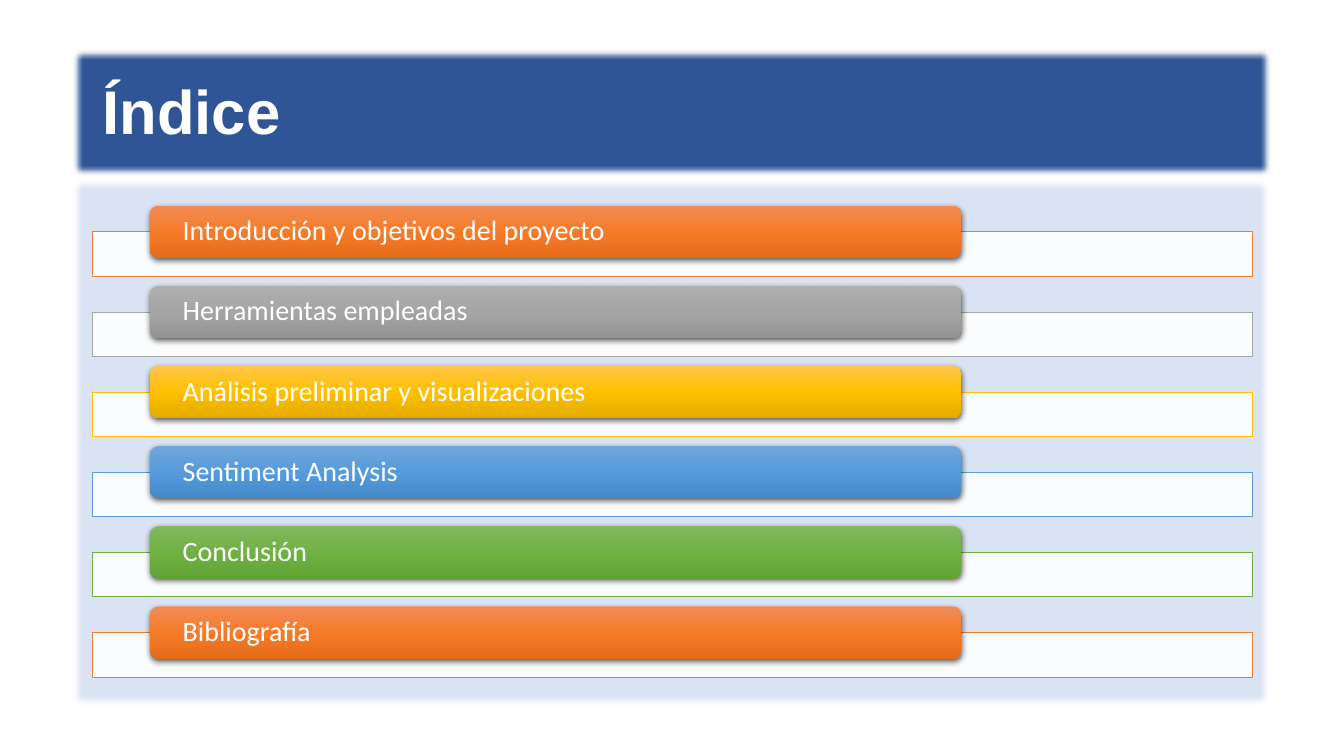
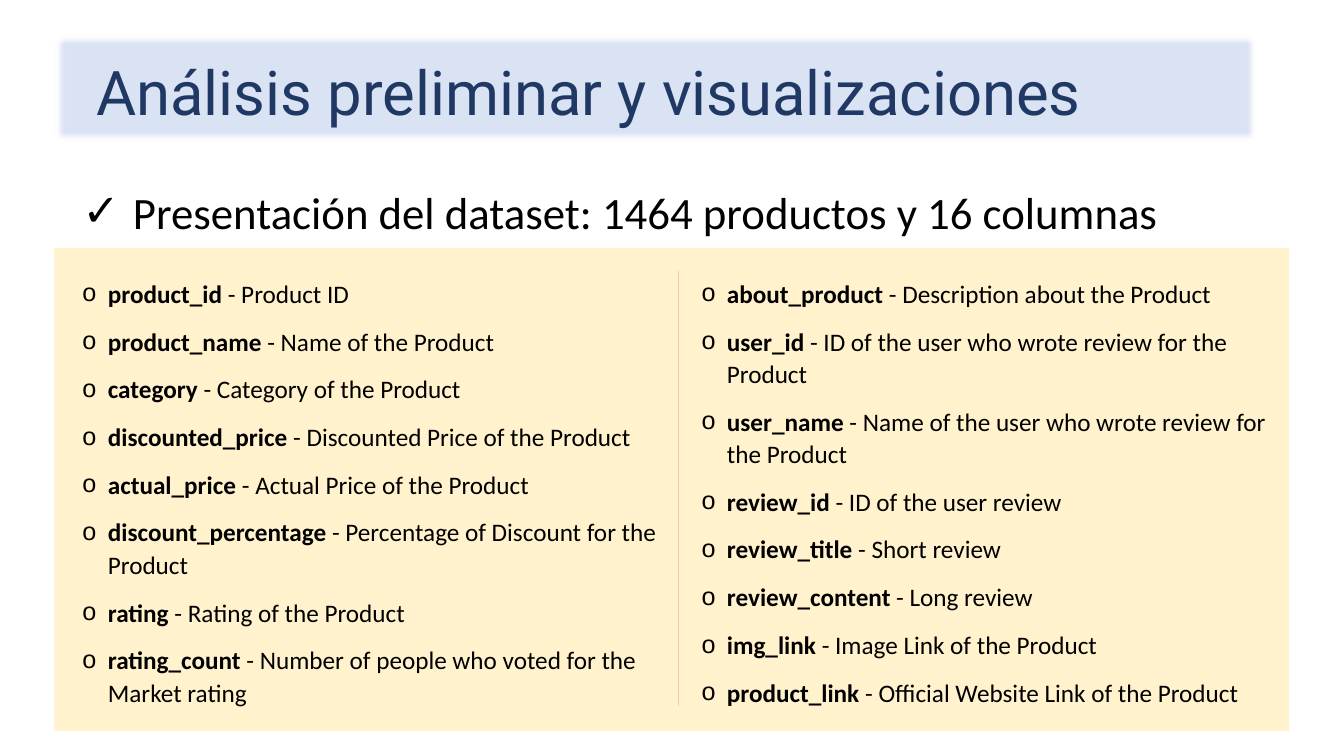
from dataclasses import dataclass
from copy import deepcopy

from lxml.etree import SubElement
from pptx import Presentation
from pptx.dml.color import RGBColor as RGB
from pptx.enum.shapes import MSO_CONNECTOR as CONN, MSO_SHAPE as SHAPE
from pptx.enum.text import MSO_ANCHOR as ANCHOR, PP_ALIGN as ALIGN
from pptx.oxml.ns import qn
from pptx.util import Cm, Pt


@dataclass(frozen=True)
class Theme:
    # Colours
    navy: str = "2F5597"
    outline: str = "325491"
    pale_blue: str = "DAE3F3"
    title_blue: str = "203864"
    cream: str = "FFF2CC"
    divider: str = "F8CBAD"
    white: str = "FFFFFF"
    black: str = "000000"
    # Fonts and sizes
    body_font: str = "Calibri"
    head_font: str = "Arial"
    title_font: str = "Roboto"
    title_size: int = 44
    lead_size: int = 32
    index_size: int = 20
    list_size: int = 18


T = Theme()

# Bar outline, then the three gradient stops of the label
ORANGE = ("ED7D31", ("F18C57", "F67B28", "E56C19"))
GREY = ("A5A5A5", ("AFAFAF", "A5A5A5", "939393"))
GOLD = ("FFC000", ("FFC64B", "FFC000", "E3AB00"))
BLUE = ("5B9BD5", ("71A6DB", "559BDB", "448ACA"))
GREEN = ("70AD47", ("81B861", "6FB242", "62A336"))

INDEX = [
    ("Introducción y objetivos del proyecto", ORANGE),
    ("Herramientas empleadas", GREY),
    ("Análisis preliminar y visualizaciones", GOLD),
    ("Sentiment Analysis", BLUE),
    ("Conclusión", GREEN),
    ("Bibliografía", ORANGE),
]

LEFT_COLUMNS = [
    ("product_id", "Product ID"),
    ("product_name", "Name of the Product"),
    ("category", "Category of the Product"),
    ("discounted_price", "Discounted Price of the Product"),
    ("actual_price", "Actual Price of the Product"),
    ("discount_percentage", "Percentage of Discount for the Product"),
    ("rating", "Rating of the Product"),
    ("rating_count", "Number of people who voted for the Market rating"),
]

RIGHT_COLUMNS = [
    ("about_product", "Description about the Product"),
    ("user_id", "ID of the user who wrote review for the Product"),
    ("user_name", "Name of the user who wrote review for the Product"),
    ("review_id", "ID of the user review"),
    ("review_title", "Short review"),
    ("review_content", "Long review"),
    ("img_link", "Image Link of the Product"),
    ("product_link", "Official Website Link of the Product"),
]


# Text
def add_run(p, text, size=T.list_size, color=T.black, font=T.body_font, bold=False):
    r = p.add_run()
    r.text = text
    r.font.size = Pt(size)
    r.font.name = font
    r.font.bold = bold
    r.font.color.rgb = RGB.from_string(color)


def add_bullet(p, char, indent):
    pPr = p._p.get_or_add_pPr()
    pPr.set("marL", str(Cm(indent)))
    pPr.set("indent", str(-Cm(indent)))
    SubElement(pPr, qn("a:buFont"), typeface=T.head_font)
    SubElement(pPr, qn("a:buChar"), char=char)


def add_text_box(slide, left, top, width, height, anchor=ANCHOR.TOP):
    tf = slide.shapes.add_textbox(Cm(left), Cm(top), Cm(width), Cm(height)).text_frame
    tf.word_wrap = True
    tf.vertical_anchor = anchor
    return tf


def add_title(slide, text, left, top, **fmt):
    p = add_text_box(slide, left, top, 29.21, 3.68, ANCHOR.MIDDLE).paragraphs[0]
    p.line_spacing = 0.9
    add_run(p, text, size=T.title_size, **fmt)


# Shapes
def add_box(slide, left, top, width, height, fill=None, line=None, weight=1, kind=SHAPE.RECTANGLE):
    sp = slide.shapes.add_shape(kind, Cm(left), Cm(top), Cm(width), Cm(height))
    sp.shadow.inherit = False
    if fill:
        sp.fill.solid()
        sp.fill.fore_color.rgb = RGB.from_string(fill)
    if line:
        sp.line.color.rgb = RGB.from_string(line)
        sp.line.width = Pt(weight)
    else:
        sp.line.fill.background()
    return sp


def add_effect(sp, name, **attrs):
    effects = sp.element.spPr.find(qn("a:effectLst"))
    return SubElement(effects, qn(f"a:{name}"), **attrs)


def add_soft_band(slide, left, top, width, height, fill):
    sp = add_box(slide, left, top, width, height, fill, T.outline)
    add_effect(sp, "softEdge", rad=str(Pt(5)))


def set_gradient(sp, colors):
    sp.fill.gradient()
    sp.fill.gradient_angle = 270
    stops = sp.element.spPr.find(f".//{qn('a:gsLst')}")
    stops.insert(1, deepcopy(stops[0]))
    for i, (stop, color) in enumerate(zip(sp.fill.gradient_stops, colors)):
        stop.color.rgb = RGB.from_string(color)
        stop.position = i / 2


def add_index_row(slide, top, text, outline, gradient):
    # Translucent bar behind
    bar = add_box(slide, 2.34, top + 0.66, 29.21, 1.12, T.white, outline, 0.5)
    color = bar.element.spPr.find(f"{qn('a:solidFill')}/{qn('a:srgbClr')}")
    SubElement(color, qn("a:alpha"), val="90000")
    # Label with a gradient and a drop shadow
    label = add_box(slide, 3.78, top, 20.45, 1.32, kind=SHAPE.ROUNDED_RECTANGLE)
    set_gradient(label, gradient)
    shadow = add_effect(label, "outerShdw", blurRad=str(Pt(4.5)), dist=str(Pt(1.5)),
                        dir="5400000", algn="ctr", rotWithShape="0")
    shade = SubElement(shadow, qn("a:srgbClr"), val=T.black)
    SubElement(shade, qn("a:alpha"), val="63000")
    tf = label.text_frame
    tf.word_wrap = True
    tf.vertical_anchor = ANCHOR.MIDDLE
    tf.margin_left = tf.margin_right = Cm(0.76)
    tf.margin_top = tf.margin_bottom = 0
    p = tf.paragraphs[0]
    p.alignment = ALIGN.LEFT
    p.line_spacing = 0.9
    add_run(p, text, size=T.index_size, color=T.white)


def add_column_list(slide, left, columns):
    tf = add_text_box(slide, left, 6.83, 15.6, 12.09)
    for i, (name, meaning) in enumerate(columns):
        p = tf.add_paragraph() if i else tf.paragraphs[0]
        p.line_spacing = 1.07
        p.space_before = Pt(3)
        p.space_after = Pt(8)
        add_bullet(p, "o", 0.64)
        add_run(p, name, bold=True)
        add_run(p, f" - {meaning}")


def add_divider(slide, x, top, bottom):
    line = slide.shapes.add_connector(CONN.STRAIGHT, Cm(x), Cm(top), Cm(x), Cm(bottom))
    line.line.color.rgb = RGB.from_string(T.divider)
    line.line.width = Pt(0.5)
    SubElement(line.element.spPr, qn("a:effectLst"))


# Slides
def build_index(slide):
    add_soft_band(slide, 1.8, 1.22, 30.25, 3.25, T.navy)
    add_title(slide, "Índice", 2.34, 1.04, font=T.head_font, color=T.white, bold=True)
    add_soft_band(slide, 1.8, 4.5, 30.25, 13.34, T.pale_blue)
    for i, (text, (outline, gradient)) in enumerate(INDEX):
        add_index_row(slide, 5.18 + i * 2.02, text, outline, gradient)


def build_dataset(slide):
    add_box(slide, 1.37, 6.25, 31.12, 12.17, T.cream)
    add_soft_band(slide, 1.37, 0.86, 30.3, 2.72, T.pale_blue)
    add_title(slide, "Análisis preliminar y visualizaciones", 2.18, 0.56,
              font=T.title_font, color=T.title_blue)
    p = add_text_box(slide, 1.83, 4.52, 28.24, 1.63).paragraphs[0]
    add_bullet(p, "✓", 1.27)
    add_run(p, "Presentación del dataset: 1464 productos y 16 columnas", size=T.lead_size)
    add_column_list(slide, 1.83, LEFT_COLUMNS)
    add_column_list(slide, 17.43, RIGHT_COLUMNS)
    add_divider(slide, 17.1, 6.83, 17.78)


def main():
    prs = Presentation()
    prs.slide_width, prs.slide_height = Cm(33.87), Cm(19.05)
    for build in (build_index, build_dataset):
        build(prs.slides.add_slide(prs.slide_layouts[6]))
    prs.save("out.pptx")


if __name__ == "__main__":
    main()
